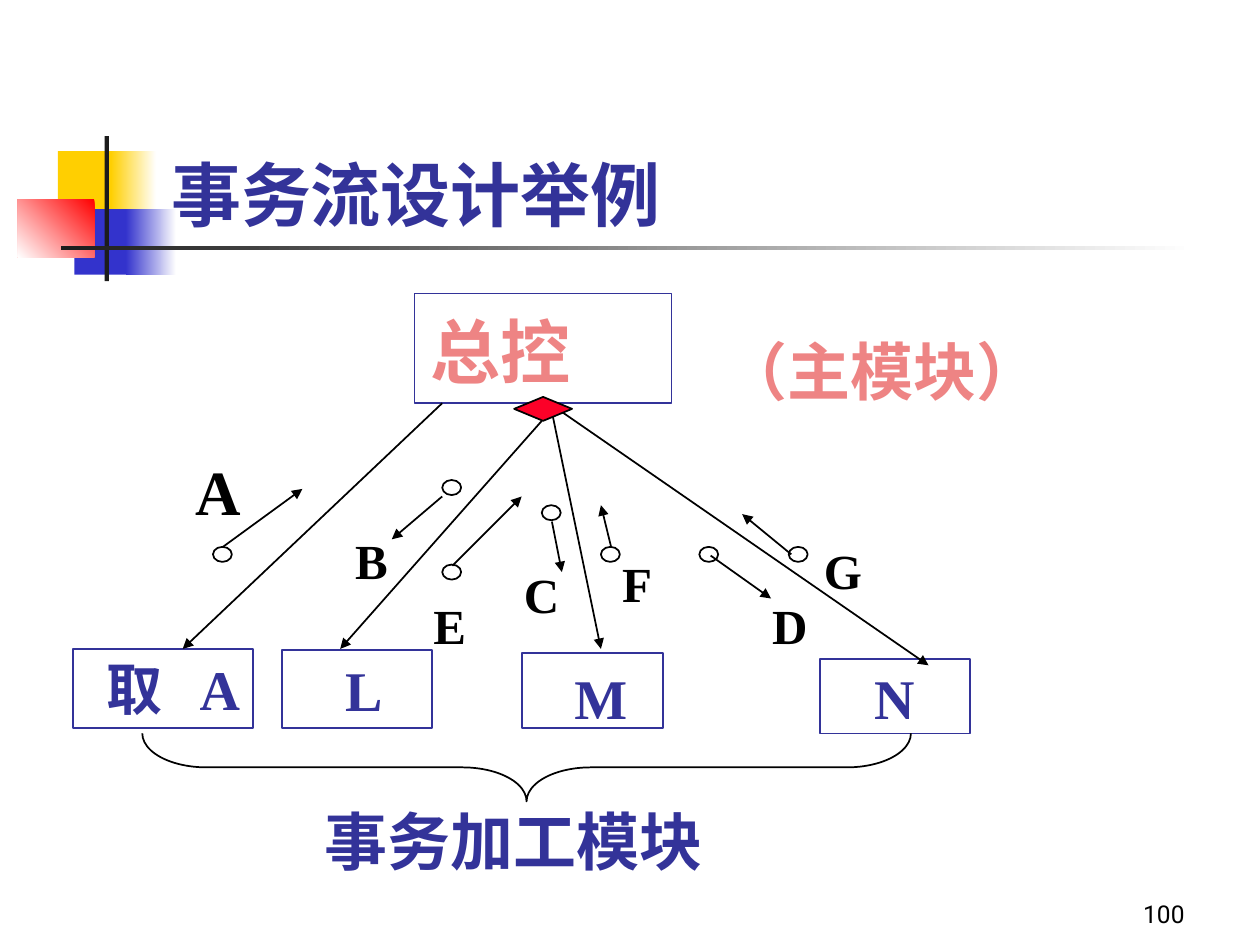
from lxml import etree
from pptx import Presentation
from pptx.dml.color import RGBColor
from pptx.enum import shapes, text
from pptx.oxml import ns
from pptx.util import Pt

THEME = {
    "navy": RGBColor.from_string("333399"),
    "blue": RGBColor.from_string("3333CC"),
    "yellow": RGBColor.from_string("FFCF01"),
    "red": RGBColor.from_string("FF0000"),
    "crimson": RGBColor.from_string("FC0128"),
    "salmon": RGBColor.from_string("EE8484"),
    "charcoal": RGBColor.from_string("1C1C1C"),
    "black": RGBColor.from_string("000000"),
    "white": RGBColor.from_string("FFFFFF"),
    "title": 40, "caption": 36, "module": 32, "flow": 28, "number": 14,
    "serif": "Times New Roman", "sans": "Roboto", "cjk": "Noto Sans CJK SC",
}
KIND = shapes.MSO_SHAPE

prs = Presentation()
prs.slide_width, prs.slide_height = Pt(720), Pt(540)
slide = prs.slides.add_slide(prs.slide_layouts[6])


def draw(kind, box, fill=None, line=None):
    shape = slide.shapes.add_shape(kind, *map(Pt, box))
    shape.shadow.inherit = False
    if fill:
        shape.fill.solid()
        shape.fill.fore_color.rgb = THEME[fill]
    else:
        shape.fill.background()
    if line:
        shape.line.color.rgb = THEME[line]
        shape.line.width = Pt(1)
    else:
        shape.line.fill.background()
    return shape


def write(words, box, size, color, face="serif", bold=True, **frame_format):
    """Add a one-paragraph text box; frame_format overrides its frame settings."""
    frame = slide.shapes.add_textbox(*map(Pt, box)).text_frame
    for name, value in {"word_wrap": True, **frame_format}.items():
        setattr(frame, name, value)
    paragraph = frame.paragraphs[0]
    run = paragraph.add_run()
    run.text = words
    for name, value in {"name": THEME[face], "size": Pt(THEME[size]), "bold": bold}.items():
        setattr(run.font, name, value)
    run.font.color.rgb = THEME[color]
    east_asian = etree.SubElement(run.font._element, ns.qn("a:ea"))
    east_asian.set("typeface", THEME["cjk"])
    return paragraph


# Title ornament: flat blocks, and blocks that fade to white
for box, color, fade_angle in (
    ((33.1, 86.4, 34.6, 37.4), "yellow", None),
    ((63.4, 86.4, 25.9, 37.4), "yellow", 0),
    ((42.5, 119.5, 33.1, 37.4), "blue", None),
    ((72, 119.5, 28.8, 37.4), "blue", 0),
    ((10.1, 113.8, 43.9, 33.1), "red", 225),
    ((59.8, 77.8, 2.5, 82.8), "charcoal", None),
    ((34.6, 140.4, 648, 2.5), "charcoal", 0),
):
    block = draw(KIND.RECTANGLE, box, color)
    if fade_angle is not None:
        block.fill.gradient()
        block.fill.gradient_angle = fade_angle
        for stop, stop_color in zip(block.fill.gradient_stops, (color, "white")):
            stop.color.rgb = THEME[stop_color]

write("事务流设计举例", (90.7, 48.2, 613.4, 90), "title", "navy", "sans",
      vertical_anchor=text.MSO_ANCHOR.BOTTOM)

# Main module
draw(KIND.RECTANGLE, (236.9, 167.8, 146.9, 62.6), line="navy")
write("总控", (223.9, 172.8, 160.6, 54.7), "title", "salmon", "cjk", margin_left=Pt(22))
write("（主模块）", (406.8, 186.5, 194.4, 50.4), "caption", "salmon", "cjk", word_wrap=False)

# Transaction modules: frame, then its name
for frame_box, name, name_box in (
    ((161.3, 371.5, 85.7, 44.6), "L", (190.1, 370.8, 69.1, 45.4)),
    ((298.1, 373, 80.6, 43.2), "M", (321.1, 375.8, 58.3, 45.4)),
    ((468.7, 376.6, 85.7, 42.5), "N", (492.5, 375.8, 69.8, 45.4)),
):
    draw(KIND.RECTANGLE, frame_box, line="navy")
    write(name, name_box, "module", "navy")

draw(KIND.RECTANGLE, (41.8, 370.8, 103, 45.4), line="navy")
fetch = write("取\tA", (46.1, 378, 126.7, 37.4), "module", "navy", margin_left=Pt(15))
fetch.line_spacing = 0.8
tabs = etree.SubElement(fetch._p.get_or_add_pPr(), ns.qn("a:tabLst"))
etree.SubElement(tabs, ns.qn("a:tab"), pos=str(Pt(53)), algn="l")

# Data flows: name, name box, type size, circle corner, arrow start, arrow end
flows = (
    ("A", (104.4, 254.9, 35.3, 50.4), "caption", (121.7, 312.5), (127.4, 312.5), (172.8, 279.4)),
    ("B", (195.8, 299.5, 39.6, 40.3), "flow", (252.7, 274.3), (252.7, 283.7), (223.9, 308.2)),
    ("C", (292.3, 319, 28.1, 40.3), "flow", (309.6, 288.7), (315.4, 298.1), (321.1, 326.9)),
    ("D", (434.2, 337, 41, 40.3), "flow", (399.6, 312.5), (406.1, 317.5), (440.6, 342)),
    ("E", (240.5, 337, 35.3, 40.3), "flow", (252.7, 322.6), (258.5, 323.3), (298.1, 283.7)),
    ("F", (348.5, 312.5, 23.8, 40.3), "flow", (343.4, 312.5), (349.2, 312.5), (343.4, 288.7)),
    ("G", (463.7, 305.3, 23.8, 40.3), "flow", (450.7, 312.5), (452.2, 316.8), (424.1, 293.8)),
)
for name, name_box, size, corner, *_ in flows:
    draw(KIND.OVAL, (*corner, 10.8, 8.6), line="black")
    write(name, name_box, size, "black")

calls = (
    ((252.7, 230.4), (104.4, 370.8)),
    ((309.6, 240.5), (194.4, 370.8)),
    ((315.4, 235.4), (343.4, 370.8)),
    ((321.1, 235.4), (530.6, 380.2)),
)
for start, end in calls + tuple(flow[4:] for flow in flows):
    arrow = slide.shapes.add_connector(
        shapes.MSO_CONNECTOR.STRAIGHT, *map(Pt, start + end))
    arrow.line.color.rgb = THEME["black"]
    arrow.line.width = Pt(1)
    etree.SubElement(arrow.line._get_or_add_ln(), ns.qn("a:tailEnd"), type="triangle")
    etree.SubElement(arrow._element.spPr, ns.qn("a:effectLst"))

# Decision mark on the main module
draw(KIND.DIAMOND, (293.8, 226.8, 33.1, 13.7), "crimson", "black")

# Brace under the transaction modules
brace = draw(KIND.LEFT_BRACE, (281.5, 218.9, 38.9, 439.2), line="black")
brace.rotation = 270
brace.adjustments[0] = 0.94

write("事务加工模块", (178.6, 455, 285.1, 50.4), "caption", "navy", "cjk")
page = write("100", (534.2, 498.2, 149.8, 36), "number", "black", "sans", False,
             vertical_anchor=text.MSO_ANCHOR.BOTTOM)
page.alignment = text.PP_ALIGN.RIGHT

prs.save("out.pptx")
